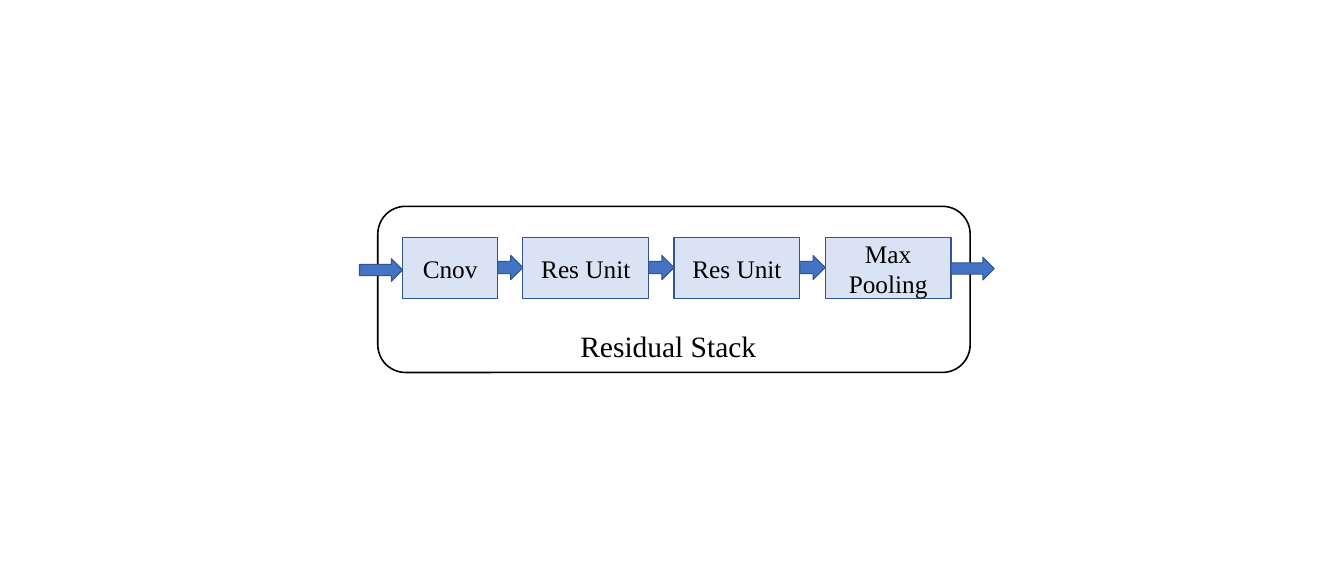
from pptx import Presentation
from pptx.dml.color import RGBColor
from pptx.enum.shapes import MSO_SHAPE
from pptx.enum.text import MSO_ANCHOR, PP_ALIGN
from pptx.util import Pt

COLORS = {"ink": "000000", "box": "DAE3F3", "arrow": "4472C4", "edge": "325491"}
FONT = "Times New Roman"
STEPS = [("Cnov", 90), ("Res Unit", 119.5), ("Res Unit", 119.5), ("Max Pooling", 119.5)]
LEFT, TOP, HIGH, GAP = 382.3, 225.4, 58.3, 24


def apply(target, values):
    for name, value in values.items():
        setattr(target, name, value)


def color(name):
    return RGBColor.from_string(COLORS[name])


def add_text(shape, text, size):
    frame = shape.text_frame
    frame.text = text
    apply(frame, {"word_wrap": True, "vertical_anchor": MSO_ANCHOR.MIDDLE})
    line = frame.paragraphs[0]
    line.alignment = PP_ALIGN.CENTER
    font = line.runs[0].font
    apply(font, {"name": FONT, "size": Pt(size)})
    font.color.rgb = color("ink")


def add_shape(slide, kind, area, fill, edge, width):
    shape = slide.shapes.add_shape(kind, *map(Pt, area))
    shape.shadow.inherit = False
    if fill:
        shape.fill.solid()
        shape.fill.fore_color.rgb = color(fill)
    else:
        shape.fill.background()
    shape.line.color.rgb = color(edge)
    shape.line.width = Pt(width)
    return shape


def add_frame(slide):
    area = (358.6, 195.8, 562.3, 157.7)
    add_shape(slide, MSO_SHAPE.ROUNDED_RECTANGLE, area, None, "ink", 1.5)


def add_box(slide, left, width, text):
    area = (left, TOP, width, HIGH)
    box = add_shape(slide, MSO_SHAPE.RECTANGLE, area, "box", "edge", 1)
    add_text(box, text, 24)


def add_arrow(slide, *area):
    add_shape(slide, MSO_SHAPE.RIGHT_ARROW, area, "arrow", "edge", 1)


def add_title(slide):
    title = slide.shapes.title
    names = ("left", "top", "width", "height")
    apply(title, dict(zip(names, map(Pt, (484.6, 307.4, 299.5, 41)))))
    add_text(title, "Residual Stack", 28)


def main():
    deck = Presentation()
    apply(deck, {"slide_width": Pt(1275.8), "slide_height": Pt(540)})
    slide = deck.slides.add_slide(deck.slide_layouts[5])
    add_title(slide)
    add_frame(slide)
    add_arrow(slide, LEFT - 41, 245.5, 41, 21.6)
    left = LEFT
    for index, (text, width) in enumerate(STEPS):
        if index:
            add_arrow(slide, left - GAP, 242.4, GAP, 23)
        add_box(slide, left, width, text)
        left += width + GAP
    add_arrow(slide, left - GAP, 244.1, 41, 21.6)
    deck.save("out.pptx")


if __name__ == "__main__":
    main()
